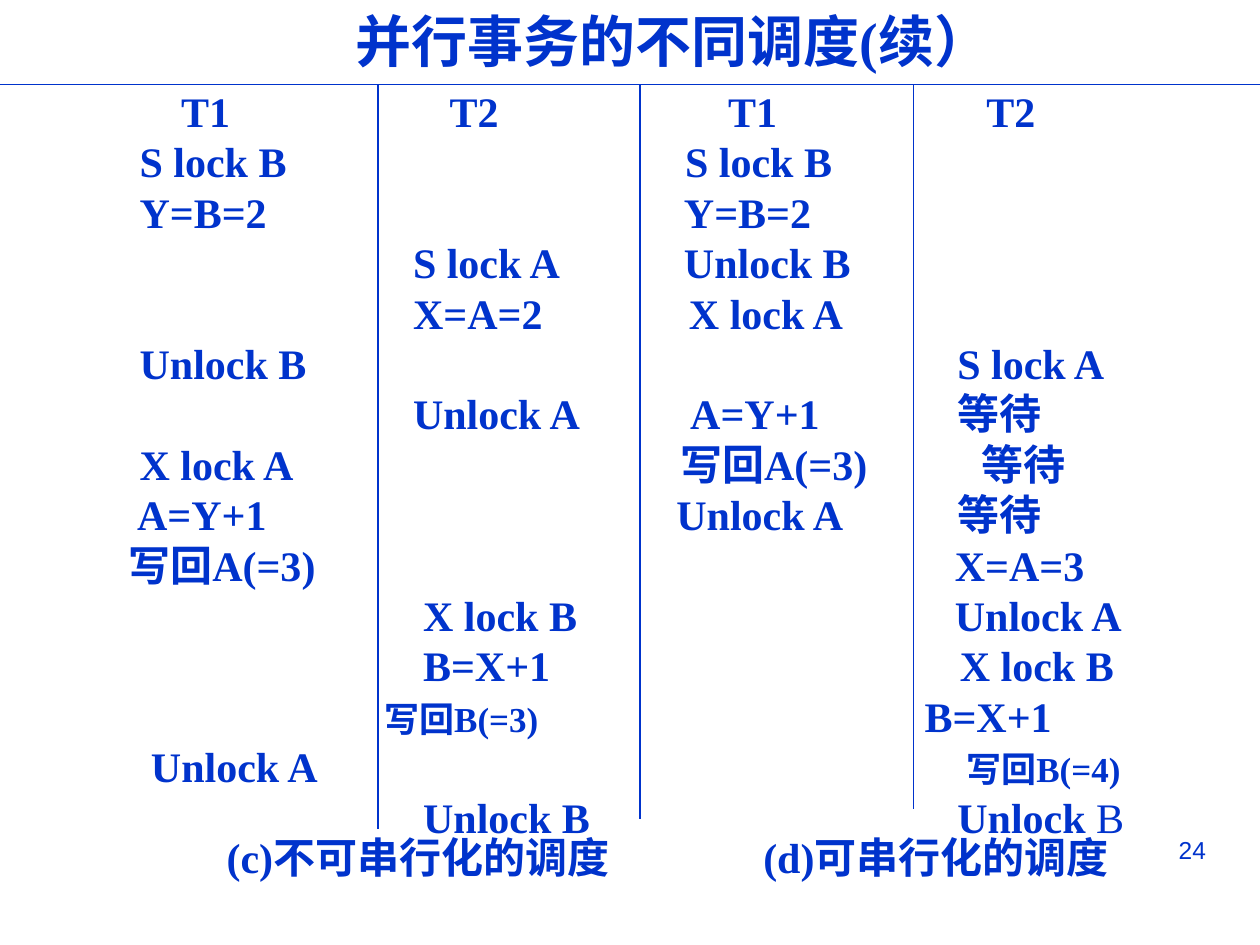
"""Build the slide comparing two schedules of concurrent transactions."""
from lxml import etree
from pptx import Presentation
from pptx.dml.color import RGBColor
from pptx.enum.shapes import MSO_CONNECTOR
from pptx.enum.text import MSO_ANCHOR, PP_ALIGN
from pptx.oxml.ns import qn
from pptx.util import Inches, Pt

BLUE = "0033CC"
SERIF = "Times New Roman"
SCHEDULE_LEFT = 0.03
CAPTION_LEFT = 1.8

ROWS = [
    [(1.44, "T1"), (3.57, "T2"), (5.78, "T1"), (7.83, "T2")],
    [(1.11, "S lock B"), (5.44, "S lock B")],
    [(1.11, "Y=B=2"), (5.43, "Y=B=2")],
    [(3.28, "S lock A"), (5.43, "Unlock B")],
    [(3.28, "X=A=2"), (5.47, "X lock A")],
    [(1.11, "Unlock B"), (7.6, "S lock A")],
    [(3.28, "Unlock A"), (5.48, "A=Y+1"), (7.6, "等待")],
    [(1.11, "X lock A"), (5.4, "写回A(=3)"), (7.79, "等待")],
    [(1.09, "A=Y+1"), (5.37, "Unlock A"), (7.6, "等待")],
    [(1.02, "写回A(=3)"), (7.58, "X=A=3")],
    [(3.36, "X lock B"), (7.58, "Unlock A")],
    [(3.36, "B=X+1"), (7.62, "X lock B")],
    [(3.05, "写回B(=3)"), (7.34, "B=X+1")],
    [(1.2, "Unlock A"), (7.67, "写回B(=4)")],
    [(3.36, "Unlock B"), (7.6, "Unlock")],
]


def color(value):
    return RGBColor.from_string(value)


def format_paragraph(paragraph, size, bold, stops=(), name=SERIF):
    if stops:
        properties = paragraph._p.get_or_add_pPr()
        tab_list = etree.SubElement(properties, qn("a:tabLst"))
        for stop in stops:
            etree.SubElement(tab_list, qn("a:tab"), pos=str(Inches(stop)), algn="l")
    font = paragraph.font
    font.name, font.size, font.bold = name, Pt(size), bold
    font.color.rgb = color(BLUE)


presentation = Presentation()
presentation.slide_width, presentation.slide_height = Inches(10), Inches(7.5)
slide = presentation.slides.add_slide(presentation.slide_layouts[5])

title = slide.shapes.title
title.left, title.top = Inches(2.44), Inches(0)
title.width, title.height = Inches(5.8), Inches(0.67)
title.text_frame.vertical_anchor = MSO_ANCHOR.TOP
title.text_frame.text = "并行事务的不同调度(续）"
format_paragraph(title.text_frame.paragraphs[0], 32, True)

schedule = slide.shapes.add_textbox(
    Inches(SCHEDULE_LEFT - 0.1), Inches(0.63), Inches(9.5), Inches(6.1)
).text_frame
schedule.word_wrap = True
for index, cells in enumerate(ROWS):
    paragraph = schedule.add_paragraph() if index else schedule.paragraphs[0]
    format_paragraph(paragraph, 24, True, [left - SCHEDULE_LEFT for left, _ in cells])
    paragraph.line_spacing = Pt(28.8)
    for _, text in cells:
        run = paragraph.add_run()
        run.text = "\t" + text
        if text.startswith("写回B"):
            run.font.size = Pt(20)
last_item = paragraph.add_run()
last_item.text = " B"
last_item.font.bold = False

for x1, y1, x2, y2 in [
    (0, 0.67, 10, 0.67),
    (3, 0.67, 3, 6.58),
    (5.08, 0.67, 5.08, 6.5),
    (7.25, 0.67, 7.25, 6.42),
]:
    rule = slide.shapes.add_connector(
        MSO_CONNECTOR.STRAIGHT, Inches(x1), Inches(y1), Inches(x2), Inches(y2)
    )
    rule.line.color.rgb = color(BLUE)
    rule.line.width = Pt(0.75)
    etree.SubElement(rule._element.spPr, qn("a:effectLst"))

captions = slide.shapes.add_textbox(
    Inches(CAPTION_LEFT - 0.1), Inches(6.55), Inches(7.5), Inches(0.6)
).text_frame
captions.word_wrap = True
captions.text = "(c)不可串行化的调度\t(d)可串行化的调度"
format_paragraph(captions.paragraphs[0], 24, True, [6.06 - CAPTION_LEFT])

page_number = slide.shapes.add_textbox(
    Inches(7.17), Inches(6.58), Inches(2.5), Inches(0.52)
).text_frame
page_number.word_wrap = True
page_number.text = "24"
page_number.paragraphs[0].alignment = PP_ALIGN.RIGHT
format_paragraph(page_number.paragraphs[0], 14, False, name="Arial")

presentation.save("out.pptx")
